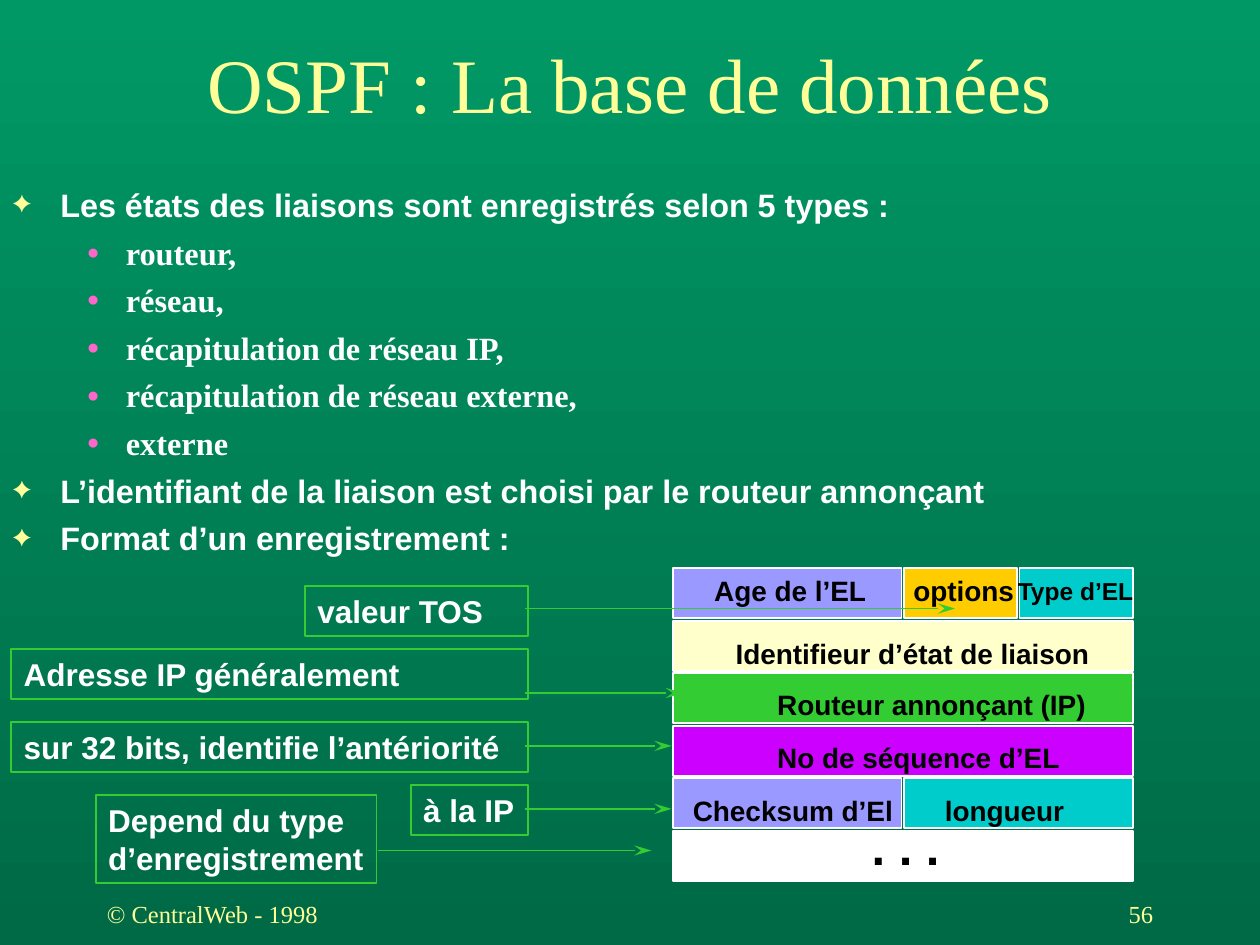
from lxml.etree import SubElement
from pptx import Presentation
from pptx.dml.color import RGBColor
from pptx.enum.shapes import MSO_CONNECTOR, MSO_SHAPE
from pptx.enum.text import MSO_ANCHOR, PP_ALIGN
from pptx.oxml.ns import qn
from pptx.util import Inches, Pt

SANS, SERIF = "Arial", "Times New Roman"
TOP_GREEN = RGBColor(0x00, 0x99, 0x66)
BOTTOM_GREEN = RGBColor(0x00, 0x6A, 0x46)
YELLOW = RGBColor(0xFF, 0xFF, 0x99)
WHITE = RGBColor(0xFF, 0xFF, 0xFF)
BLACK = RGBColor(0x00, 0x00, 0x00)
PINK = RGBColor(0xFF, 0x66, 0xCC)
GREEN = RGBColor(0x33, 0xCC, 0x33)
LILAC = RGBColor(0x99, 0x99, 0xFF)
CREAM = RGBColor(0xFF, 0xFF, 0xCC)
ORANGE = RGBColor(0xFF, 0xCC, 0x00)
CYAN = RGBColor(0x00, 0xCC, 0xCC)
PURPLE = RGBColor(0xCC, 0x00, 0xFF)

WIDTH, HEIGHT = 10, 7.5

# Bullet styles by level: left margin, hanging indent, mark, colour, size %, font
LEVELS = [(0.38, 0.38, "✦", YELLOW, 75, SANS),
          (0.9, 0.31, "●", PINK, 65, SERIF)]
POINTS = [(0, "Les états des liaisons sont enregistrés selon 5 types :"),
          (1, "routeur,"),
          (1, "réseau,"),
          (1, "récapitulation de réseau IP,"),
          (1, "récapitulation de réseau externe,"),
          (1, "externe"),
          (0, "L’identifiant de la liaison est choisi par le routeur annonçant"),
          (0, "Format d’un enregistrement :")]

# Record fields: row, column, span, fill, text, size,
# label offset from the record and label width
FIELDS = [(0, 0, 2, LILAC, "Age de l’EL", 16, (0.23, -0.01, 1.41)),
          (0, 2, 1, ORANGE, "options", 16, (1.81, -0.01, 1)),
          (0, 3, 1, CYAN, "Type d’EL", 14, (2.64, 0.01, 1.13)),
          (1, 0, 4, CREAM, "Identifieur d’état de liaison", 16, (0.4, 0.49, 3.01)),
          (2, 0, 4, GREEN, "Routeur annonçant (IP)", 16, (0.73, 0.9, 2.65)),
          (3, 0, 4, PURPLE, "No de séquence d’EL", 16, (0.73, 1.32, 2.44)),
          (4, 0, 2, LILAC, "Checksum d’El", 16, (0.06, 1.74, 1.79)),
          (4, 2, 2, CYAN, "longueur", 16, (2.06, 1.74, 1.15)),
          (5, 0, 4, WHITE, ". . .", 28, (1.48, 1.92, 0.74))]

# Notes: box, lines, arrow start x, arrow end x, arrow y
NOTES = [((0.76, 6.31, 2.23, 0.7), ["Depend du type", "d’enregistrement"], 3, 5.17, 6.75),
         ((3.26, 6.23, 0.93, 0.4), ["à la IP"], 4.17, 5.33, 6.42),
         ((0.09, 5.73, 4.1, 0.4), ["sur 32 bits, identifie l’antériorité"], 4.17, 5.33, 5.92),
         ((2.42, 4.65, 1.77, 0.4), ["valeur TOS"], 4.17, 7.58, 4.83),
         ((0.09, 5.15, 4.1, 0.4), ["Adresse IP généralement"], 4.17, 5.42, 5.5)]


def inches(box):
    return [Inches(v) for v in box]


def add_run(p, text, size, font, color, bold=False):
    r = p.add_run()
    r.text = text
    r.font.size, r.font.name, r.font.bold = Pt(size), font, bold
    r.font.color.rgb = color


def add_rect(s, box, line, fill=None):
    sp = s.shapes.add_shape(MSO_SHAPE.RECTANGLE, *inches(box))
    sp.shadow.inherit = False
    sp.line.color.rgb, sp.line.width = line, Pt(1)
    if fill is None:
        sp.fill.background()
    else:
        sp.fill.solid()
        sp.fill.fore_color.rgb = fill
    return sp


def add_arrow(s, x1, x2, y):
    line = s.shapes.add_connector(MSO_CONNECTOR.STRAIGHT, *inches((x1, y, x2, y)))
    line.line.color.rgb, line.line.width = GREEN, Pt(1)
    SubElement(line.line._get_or_add_ln(), qn("a:tailEnd"), type="stealth", len="lg")
    SubElement(line._element.spPr, qn("a:effectLst"))


def add_bullet(p, level):
    margin, hanging, mark, color, percent, _ = LEVELS[level]
    pPr = p._p.get_or_add_pPr()
    pPr.set("marL", str(Inches(margin)))
    pPr.set("indent", str(-Inches(hanging)))
    SubElement(SubElement(pPr, qn("a:buClr")), qn("a:srgbClr"), val=str(color))
    SubElement(pPr, qn("a:buSzPct"), val=str(percent * 1000))
    SubElement(pPr, qn("a:buFont"), typeface=SERIF)
    SubElement(pPr, qn("a:buChar"), char=mark)


def set_background(s):
    fill = s.background.fill
    fill.gradient()
    fill.gradient_angle = 270
    for stop, color in zip(fill.gradient_stops, (TOP_GREEN, BOTTOM_GREEN)):
        stop.color.rgb = color


def place_title(s, box):
    title = s.shapes.title
    title.left, title.top, title.width, title.height = inches(box)
    tf = title.text_frame
    tf.vertical_anchor = MSO_ANCHOR.MIDDLE
    p = tf.paragraphs[0]
    p.alignment = PP_ALIGN.CENTER
    add_run(p, "OSPF : La base de données", 44, SERIF, YELLOW)


def place_points(s, box):
    tf = s.shapes.add_textbox(*inches(box)).text_frame
    tf.word_wrap = True
    for i, (level, text) in enumerate(POINTS):
        p = tf.add_paragraph() if i else tf.paragraphs[0]
        p.level = level
        if i:
            p.space_before = Pt(5)
        add_bullet(p, level)
        add_run(p, text, 18.5, LEVELS[level][-1], WHITE, True)


def place_record(s, box):
    left, top, width, height = box
    gap = 0.02
    col, row = (width + gap) / 4, (height + gap) / 6
    for r, c, span, fill, *_ in FIELDS:
        add_rect(s, (left + c * col, top + r * row, span * col - gap, row - gap),
                 WHITE, fill)
    for *_, text, size, (dx, dy, label_width) in FIELDS:
        label = s.shapes.add_textbox(
            *inches((left + dx, top + dy, label_width, size / 43)))
        tf = label.text_frame
        tf.word_wrap = False
        add_run(tf.paragraphs[0], text, size, SANS, BLACK, True)


def place_note(s, box, lines, x1, x2, y):
    add_arrow(s, x1, x2, y)
    tf = add_rect(s, box, GREEN).text_frame
    tf.word_wrap = False
    tf.vertical_anchor = MSO_ANCHOR.TOP
    for i, text in enumerate(lines):
        p = tf.add_paragraph() if i else tf.paragraphs[0]
        p.alignment = PP_ALIGN.LEFT
        add_run(p, text, 18, SANS, WHITE, True)


def place_footer(s, box, text, align):
    tf = s.shapes.add_textbox(*inches(box)).text_frame
    tf.word_wrap = True
    tf.vertical_anchor = MSO_ANCHOR.MIDDLE
    p = tf.paragraphs[0]
    p.alignment = align
    add_run(p, text, 14, SERIF, YELLOW)


def main():
    prs = Presentation()
    prs.slide_width, prs.slide_height = Inches(WIDTH), Inches(HEIGHT)
    s = prs.slides.add_slide(prs.slide_layouts[5])
    set_background(s)
    place_title(s, (0, 0.31, WIDTH, 0.69))
    place_points(s, (0, 1.42, 9.92, 3.17))
    place_record(s, (5.34, 4.51, 3.65, 2.48))
    for note in NOTES:
        place_note(s, *note)
    place_footer(s, (7.17, 7, 2.08, 0.5), "56", PP_ALIGN.RIGHT)
    place_footer(s, (0.75, 7, 2.08, 0.5), "© CentralWeb - 1998", PP_ALIGN.LEFT)
    prs.save("out.pptx")


if __name__ == "__main__":
    main()
